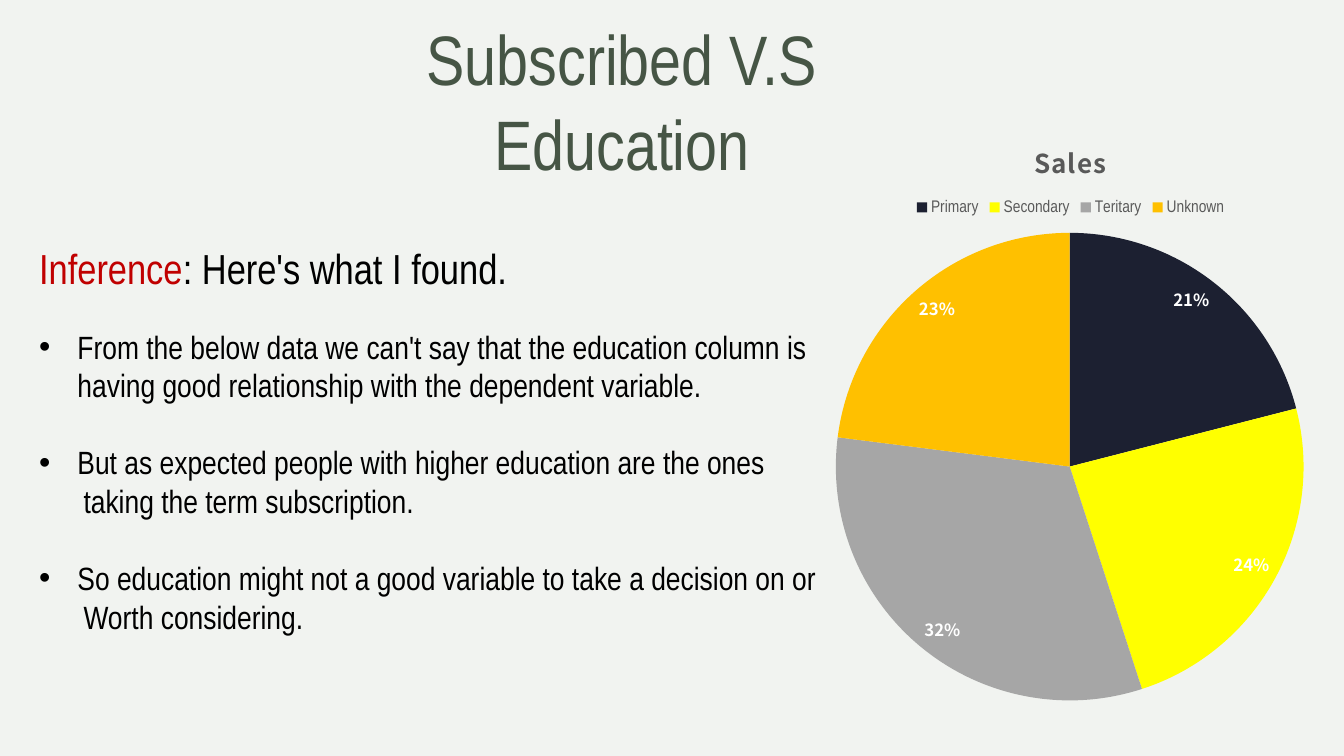
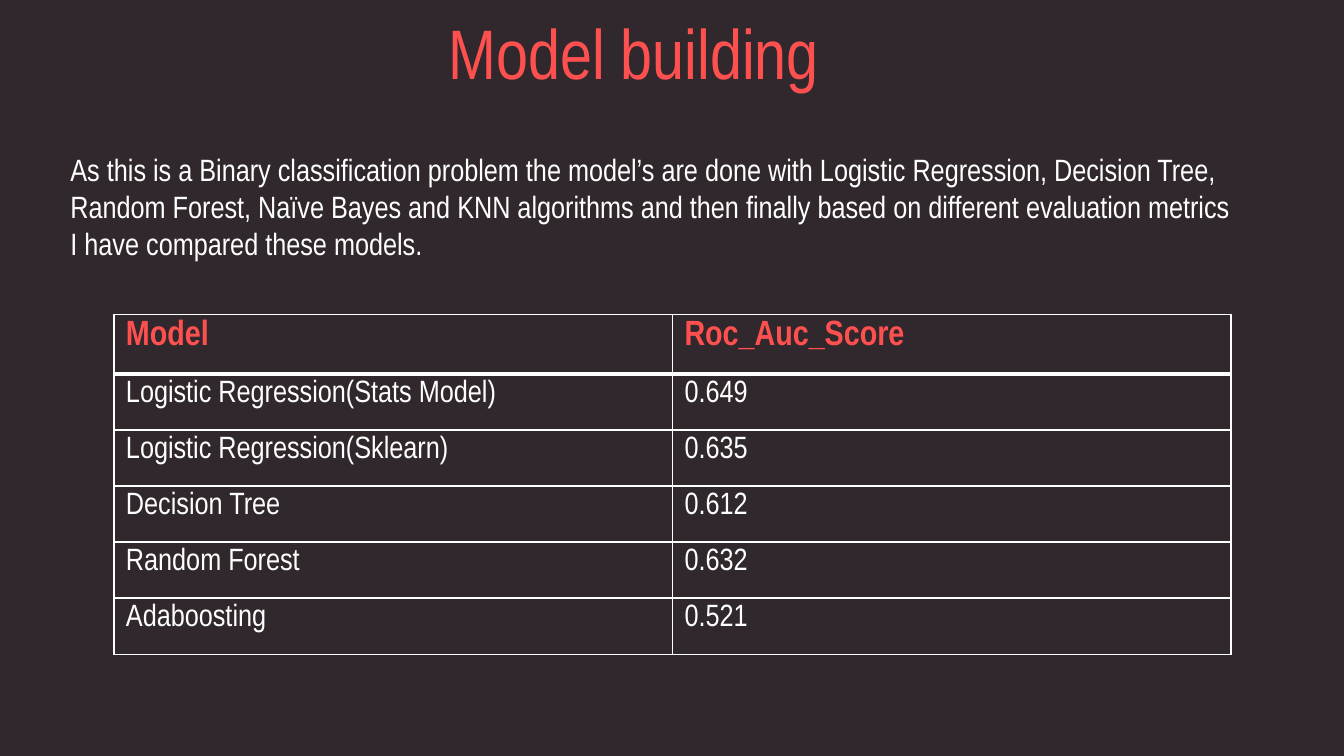
from dataclasses import dataclass

from lxml import etree
from pptx import Presentation
from pptx.chart.data import CategoryChartData
from pptx.dml.color import RGBColor
from pptx.enum import chart as charts, text as texts
from pptx.oxml import ns
from pptx.util import Inches, Pt


@dataclass(frozen=True)
class Theme:
    # Colours
    light: str = "F1F3F0"
    dark: str = "30282C"
    green: str = "465545"
    coral: str = "FF5050"
    red: str = "C00000"
    black: str = "000000"
    white: str = "FFFFFF"
    grey: str = "595959"
    slices: tuple = ("1C2031", "FFFF00", "A6A6A6", "FFC000")
    # Fonts and type sizes
    font: str = "Arial Narrow"
    chart_font: str = "Noto Sans CJK JP"
    title: float = 50
    lead: float = 30
    header: float = 25
    bullet: float = 23
    body: float = 22
    chart_title: float = 18.6
    chart_text: float = 12


THEME = Theme()


# Shared helpers
def style_font(font, size, colour, bold=False, name=THEME.font):
    font.name = name
    font.size = Pt(size)
    font.bold = bold
    font.color.rgb = RGBColor.from_string(colour)


def add_run(paragraph, words, size, colour, bold=False, name=THEME.font):
    run = paragraph.add_run()
    run.text = words
    style_font(run.font, size, colour, bold, name)
    return run


def add_text_frame(slide, box):
    frame = slide.shapes.add_textbox(*map(Inches, box)).text_frame
    frame.word_wrap = True
    return frame


def add_slide(presentation, background):
    slide = presentation.slides.add_slide(presentation.slide_layouts[6])
    slide.background.fill.solid()
    slide.background.fill.fore_color.rgb = RGBColor.from_string(background)
    return slide


def add_title(slide, box, words, colour):
    paragraph = add_text_frame(slide, box).paragraphs[0]
    paragraph.alignment = texts.PP_ALIGN.CENTER
    add_run(paragraph, words, THEME.title, colour)


# Findings: a lead line and bullets, each bullet a pair of lines
def indent(paragraph, left, hanging=0.0, bullet=None):
    properties = paragraph._p.get_or_add_pPr()
    properties.set("marL", str(Inches(left)))
    properties.set("indent", str(-Inches(hanging)))
    if bullet:
        font = etree.SubElement(properties, ns.qn("a:buFont"))
        font.set("typeface", "Arial")
        etree.SubElement(properties, ns.qn("a:buChar")).set("char", bullet)


def add_findings(slide, box, lead, findings):
    frame = add_text_frame(slide, box)
    for words, colour in lead:
        add_run(frame.paragraphs[0], words, THEME.lead, colour)
    gap = 24
    for first_line, second_line, second_indent in findings:
        for line, left, hanging, bullet in (
            (first_line, 0.38, 0.38, "•"),
            (second_line, second_indent, 0, None),
        ):
            paragraph = frame.add_paragraph()
            paragraph.space_before = Pt(gap if bullet else 0)
            indent(paragraph, left, hanging, bullet)
            add_run(paragraph, line, THEME.bullet, THEME.black)
        gap = 27.5


# Pie chart
def set_layout(parent, after, box, left, top, size=None):
    """Place a chart part by inches from the corner of the chart's box."""
    for old in parent.findall(ns.qn("c:layout")):
        parent.remove(old)
    layout = etree.Element(ns.qn("c:layout"))
    manual = etree.SubElement(layout, ns.qn("c:manualLayout"))
    width, height = box[2:]
    settings = {"xMode": "edge", "yMode": "edge", "x": left / width, "y": top / height}
    if size:
        settings = {"layoutTarget": "inner", **settings,
                    "w": size / width, "h": size / height}
    for name, value in settings.items():
        etree.SubElement(manual, ns.qn("c:" + name)).set("val", str(value))
    if after:
        parent.find(ns.qn(after)).addnext(layout)
    else:
        parent.insert(0, layout)


def add_pie(slide, box, title, shares):
    data = CategoryChartData()
    data.categories = list(shares)
    data.add_series("Series 1", list(shares.values()))
    chart = slide.shapes.add_chart(
        charts.XL_CHART_TYPE.PIE, *map(Inches, box), data
    ).chart
    style_font(chart.font, 10, THEME.black, name=THEME.chart_font)

    # Title and legend
    chart.has_title = True
    run = add_run(chart.chart_title.text_frame.paragraphs[0], title,
                  THEME.chart_title, THEME.grey, True, THEME.chart_font)
    run.font._element.set("spc", "70")
    chart.has_legend = True
    chart.legend.position = charts.XL_LEGEND_POSITION.TOP
    chart.legend.include_in_layout = False
    style_font(chart.legend.font, THEME.chart_text, THEME.grey)

    # Slices and labels
    plot = chart.plots[0]
    plot.vary_by_categories = True
    for index, colour in enumerate(THEME.slices):
        fill = plot.series[0].points[index].format.fill
        fill.solid()
        fill.fore_color.rgb = RGBColor.from_string(colour)
    plot.has_data_labels = True
    labels = plot.data_labels
    labels.show_percentage = True
    labels.show_value = False
    labels.number_format = "0%"
    labels.number_format_is_linked = False
    labels.position = charts.XL_LABEL_POSITION.INSIDE_END
    style_font(labels.font, THEME.chart_text, THEME.white, True, THEME.chart_font)

    # Placement inside the chart
    root = chart.element.find(ns.qn("c:chart"))
    set_layout(root.find(ns.qn("c:title")), "c:tx", box, 4.04, 0.17)
    set_layout(root.find(ns.qn("c:legend")), "c:legendPos", box, 2.87, 0.77)
    set_layout(root.find(ns.qn("c:plotArea")), None, box, 2.12, 1.14, 4.64)


# Score table
def set_borders(cell, top, bottom):
    properties = cell._tc.get_or_add_tcPr()
    sides = (("a:lnL", 1), ("a:lnR", 1), ("a:lnT", top), ("a:lnB", bottom))
    for index, (side, width) in enumerate(sides):
        line = etree.Element(ns.qn(side), w=str(Pt(width)))
        fill = etree.SubElement(line, ns.qn("a:solidFill"))
        etree.SubElement(fill, ns.qn("a:srgbClr")).set("val", THEME.white)
        properties.insert(index, line)


def add_scores(slide, box, rows):
    header_height = 0.59
    row_height = (box[3] - header_height) / (len(rows) - 1)
    table = slide.shapes.add_table(
        len(rows), len(rows[0]), *map(Inches, box)
    ).table
    for column in table.columns:
        column.width = Inches(box[2] / len(rows[0]))
    for row_index, values in enumerate(rows):
        is_header = row_index == 0
        table.rows[row_index].height = Inches(header_height if is_header else row_height)
        for column_index, value in enumerate(values):
            cell = table.cell(row_index, column_index)
            cell.margin_left = cell.margin_right = Inches(0.12)
            cell.margin_top = cell.margin_bottom = Inches(0.06)
            cell.fill.solid()
            cell.fill.fore_color.rgb = RGBColor.from_string(THEME.dark)
            set_borders(cell, 3 if row_index == 1 else 1, 3 if is_header else 1)
            size, colour = (
                (THEME.header, THEME.coral) if is_header else (THEME.body, THEME.white)
            )
            add_run(cell.text_frame.paragraphs[0], value, size, colour, is_header)


# Slides
def build_education(presentation):
    slide = add_slide(presentation, THEME.light)
    add_title(slide, (2.87, 0.11, 6.6, 0.94), "Subscribed V.S Education", THEME.green)
    add_pie(slide, (6.17, 1.17, 8.89, 5.93), "Sales", {
        "Primary": 21, "Secondary": 24, "Teritary": 32, "Unknown": 23,
    })
    add_findings(
        slide, (0.29, 2.36, 8.76, 4.85),
        (("Inference", THEME.red), (": Here's what I found.", THEME.black)),
        (
            ("From the below data we can't say that the education column is",
             "having good relationship with the dependent variable.", 0.38),
            ("But as expected people with higher education are the ones",
             "taking the term subscription.", 0.44),
            ("So education might not a good variable to take a decision on or",
             "Worth considering.", 0.44),
        ),
    )


def build_models(presentation):
    slide = add_slide(presentation, THEME.dark)
    add_title(slide, (4.27, 0.05, 4.03, 0.94), "Model building", THEME.coral)
    frame = add_text_frame(slide, (0.6, 1.45, 12.12, 1.21))
    lines = (
        "As this is a Binary classification problem the model’s are done with "
        "Logistic Regression, Decision Tree,",
        "Random Forest, Naïve Bayes and KNN algorithms and then finally based on "
        "different evaluation metrics",
        "I have compared these models.",
    )
    for index, line in enumerate(lines):
        paragraph = frame.add_paragraph() if index else frame.paragraphs[0]
        add_run(paragraph, line, THEME.body, THEME.white)
    add_scores(slide, (1.13, 3.12, 11.08, 3.37), (
        ("Model", "Roc_Auc_Score"),
        ("Logistic Regression(Stats Model)", "0.649"),
        ("Logistic Regression(Sklearn)", "0.635"),
        ("Decision Tree", "0.612"),
        ("Random Forest", "0.632"),
        ("Adaboosting", "0.521"),
    ))


def main():
    presentation = Presentation()
    presentation.slide_width = Inches(13.33)
    presentation.slide_height = Inches(7.5)
    build_education(presentation)
    build_models(presentation)
    presentation.save("out.pptx")


if __name__ == "__main__":
    main()
